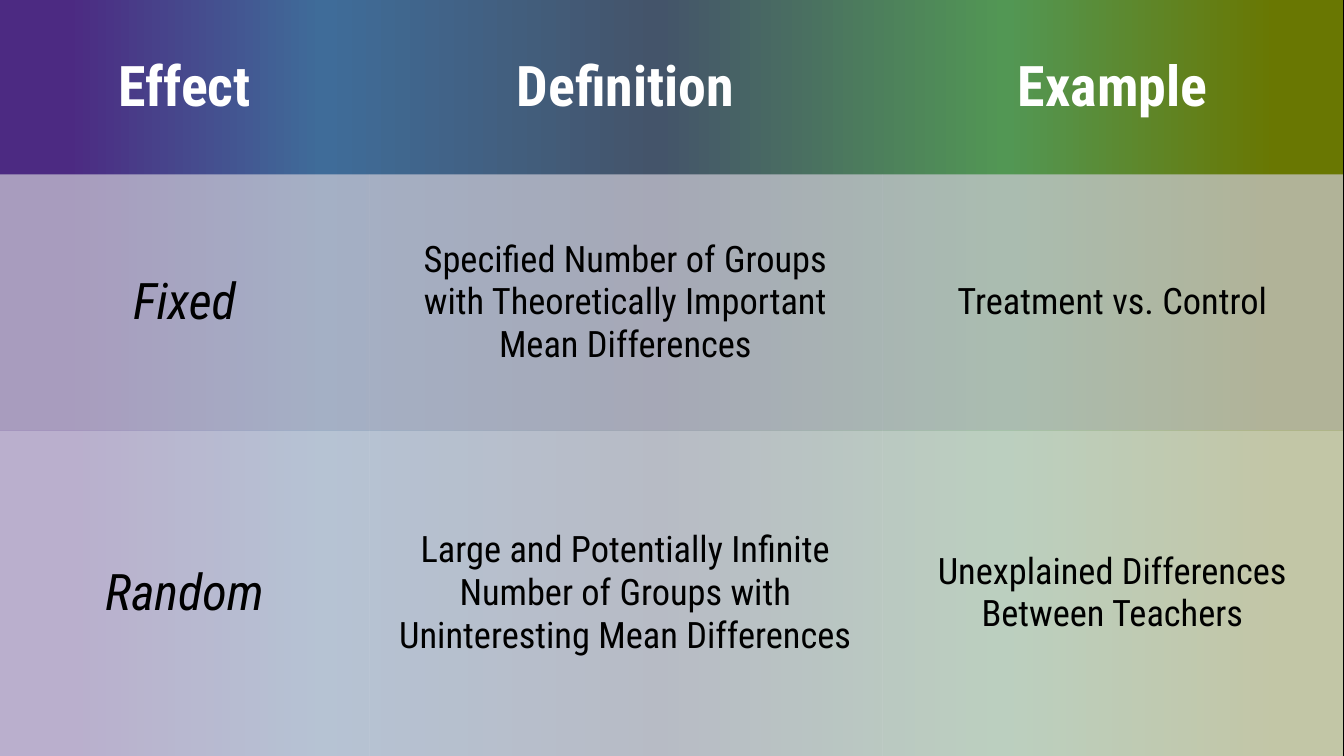
from lxml import etree
from pptx import Presentation
from pptx.dml.color import RGBColor
from pptx.enum import shapes, text
from pptx.oxml.ns import qn
from pptx.util import Inches, Pt

FONT = "Roboto Condensed"
NO_GRID_STYLE = "{2D5ABB26-0587-4C30-8999-92F81FD0307C}"
WIDTH, HEIGHT = 13.32, 7.5
GRADIENT = [(5, "4C2A82"), (24, "3F6C99"), (49, "44546A"), (75, "529754"), (95, "697702")]
COLUMN_WIDTHS = [3.66, 5.09, 4.57]
ROW_HEIGHTS = [1.73, 2.54, 3.23]
ROW_FILLS = [None, "D0CDD8", "E9E8ED"]
FILL_OPACITY = 70
ROWS = [
    ("Effect", "Definition", "Example"),
    ("Fixed",
     "Specified Number of Groups\nwith Theoretically Important\nMean Differences",
     "Treatment vs. Control"),
    ("Random",
     "Large and Potentially Infinite Number of Groups with Uninteresting Mean Differences",
     "Unexplained Differences Between Teachers"),
]
HEADER_FORMAT = dict(size=40, color="FFFFFF", bold=True)
EFFECT_FORMAT = dict(size=36, italic=True)
BODY_FORMAT = dict(size=26)


def rgb(color):
    return RGBColor.from_string(color)


def write(cell, content, size, color="000000", bold=False, italic=False):
    cell.vertical_anchor = text.MSO_ANCHOR.MIDDLE
    paragraph = cell.text_frame.paragraphs[0]
    paragraph.text = content
    paragraph.alignment = text.PP_ALIGN.CENTER
    for run in paragraph.runs:
        font = run.font
        font.name, font.size, font.bold, font.italic = FONT, Pt(size), bold, italic
        font.color.rgb = rgb(color)


def fill_cell(cell, color):
    """Give the cell a translucent fill, or none when color is None."""
    if color is None:
        cell.fill.background()
        return
    cell.fill.solid()
    cell.fill.fore_color.rgb = rgb(color)
    color_element = cell.fill._xPr.find(".//" + qn("a:srgbClr"))
    etree.SubElement(color_element, qn("a:alpha"), val=str(FILL_OPACITY * 1000))


def add_gradient_backdrop(slide):
    shape = slide.shapes.add_shape(
        shapes.MSO_SHAPE.RECTANGLE, 0, 0, Inches(WIDTH), Inches(HEIGHT))
    shape.shadow.inherit = False
    shape.line.fill.background()
    shape.fill.gradient()
    shape.fill.gradient_angle = 0
    stops = shape.element.spPr.find(".//" + qn("a:gsLst"))
    for stop in list(stops):
        stops.remove(stop)
    for position, color in GRADIENT:
        stop = etree.SubElement(stops, qn("a:gs"), pos=str(position * 1000))
        etree.SubElement(stop, qn("a:srgbClr"), val=color)


def add_effects_table(slide):
    frame = slide.shapes.add_table(
        len(ROWS), len(COLUMN_WIDTHS), 0, 0, Inches(WIDTH), Inches(HEIGHT))
    table = frame.table
    table.horz_banding = False
    frame.element.find(".//" + qn("a:tableStyleId")).text = NO_GRID_STYLE
    for column, width in zip(table.columns, COLUMN_WIDTHS):
        column.width = Inches(width)
    for row, height in zip(table.rows, ROW_HEIGHTS):
        row.height = Inches(height)
    for r, contents in enumerate(ROWS):
        for c, content in enumerate(contents):
            cell = table.cell(r, c)
            fill_cell(cell, ROW_FILLS[r])
            style = HEADER_FORMAT if r == 0 else EFFECT_FORMAT if c == 0 else BODY_FORMAT
            write(cell, content, **style)


def main():
    presentation = Presentation()
    presentation.slide_width = Inches(13.33)
    presentation.slide_height = Inches(HEIGHT)
    slide = presentation.slides.add_slide(presentation.slide_layouts[6])
    slide.background.fill.solid()
    slide.background.fill.fore_color.rgb = rgb("000000")
    add_gradient_backdrop(slide)
    add_effects_table(slide)
    presentation.save("out.pptx")


if __name__ == "__main__":
    main()
